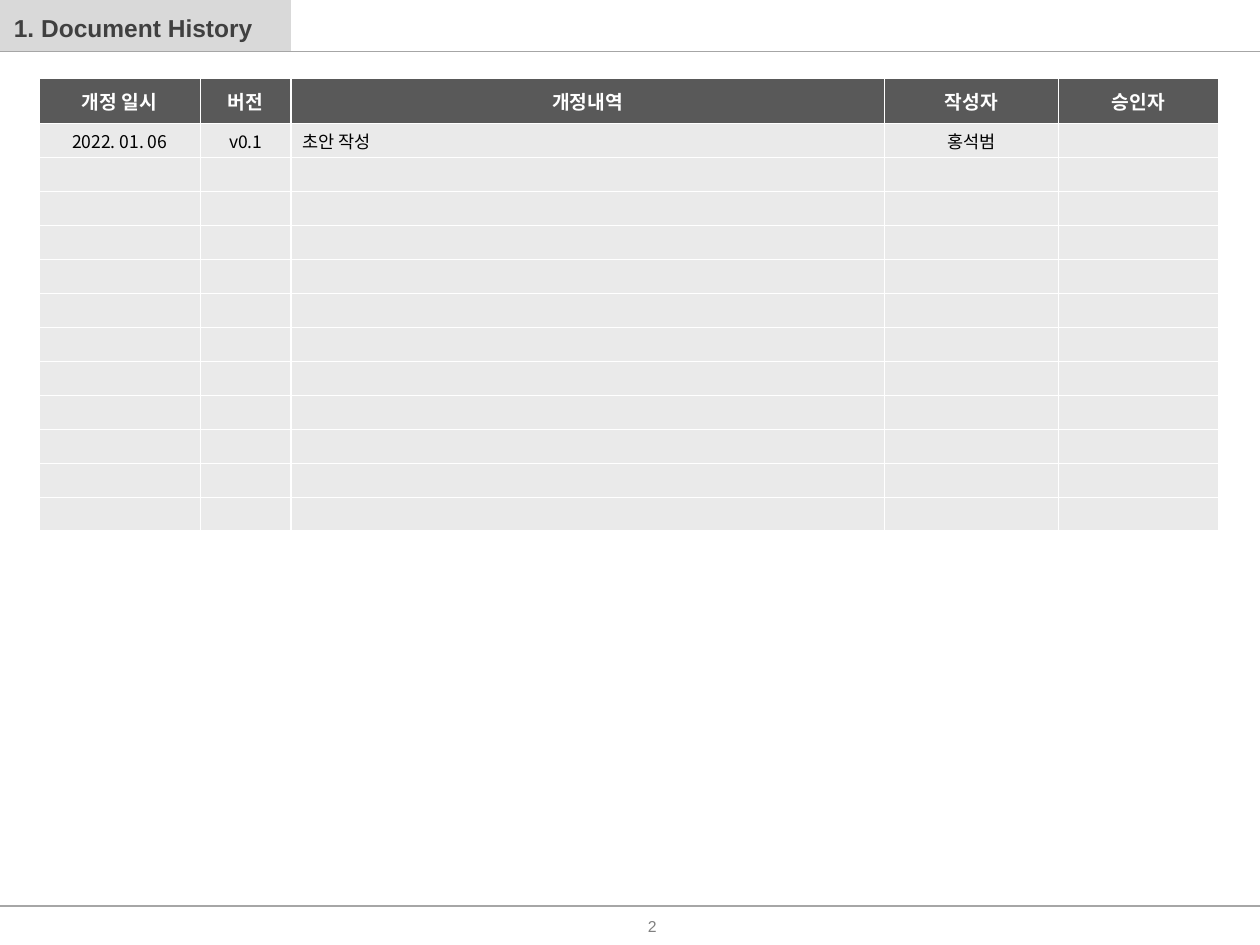
from lxml.etree import SubElement
from pptx import Presentation
from pptx.dml.color import RGBColor
from pptx.enum.shapes import MSO_CONNECTOR as Connector, MSO_SHAPE as Shape
from pptx.enum.text import MSO_ANCHOR as Anchor, PP_ALIGN as Align
from pptx.oxml.ns import qn
from pptx.util import Inches, Pt

COLORS = {
    "bar": "D9D9D9", "rule": "A6A6A6", "title": "404040", "number": "808080",
    "header": "595959", "body": "EAEAEA", "white": "FFFFFF", "black": "000000",
}
LATIN, KOREAN = "Arial", "Noto Sans CJK KR"
COLUMN_WIDTHS = [1.28, 0.72, 4.71, 1.38, 1.27]
HEADINGS = ["개정 일시", "버전", "개정내역", "작성자", "승인자"]
FIRST_REVISION = ["2022. 01. 06", "v0.1", "초안 작성", "홍석범", ""]
REVISION_ROWS = 12
HEADER_HEIGHT, ROW_HEIGHT = 0.36, 0.27
DESCRIPTION_COLUMN = 2


def color(name):
    """Return the named colour."""
    return RGBColor.from_string(COLORS[name])


def write(paragraph, text, size, font_name, color_name, bold=False, align=Align.LEFT):
    """Add one formatted run to a paragraph."""
    paragraph.alignment = align
    run = paragraph.add_run()
    run.text = text
    font = run.font
    font.size, font.name, font.bold = Pt(size), font_name, bold
    font.color.rgb = color(color_name)
    SubElement(font._element, qn("a:ea"), typeface=KOREAN)


def plain_frame(shape):
    """Return a text frame without insets, centred vertically."""
    frame = shape.text_frame
    frame.margin_left = frame.margin_right = 0
    frame.margin_top = frame.margin_bottom = 0
    frame.vertical_anchor = Anchor.MIDDLE
    frame.word_wrap = True
    return frame


def add_bar(slide):
    """Draw the block behind the title."""
    bar = slide.shapes.add_shape(Shape.RECTANGLE, 0, 0, Inches(2.31), Inches(0.41))
    bar.shadow.inherit = False
    bar.fill.solid()
    bar.fill.fore_color.rgb = color("bar")
    bar.line.fill.background()


def add_rule(slide, top):
    """Draw a thin line across the slide."""
    rule = slide.shapes.add_connector(
        Connector.STRAIGHT, 0, Inches(top), Inches(10), Inches(top))
    rule.line.color.rgb = color("rule")
    rule.line.width = Pt(0.75)
    SubElement(rule._element.spPr, qn("a:effectLst"))


def add_page_number(slide):
    """Write the page number in the footer."""
    number = slide.shapes.add_textbox(
        Inches(4.47), Inches(7.21), Inches(1.38), Inches(0.28))
    write(plain_frame(number).paragraphs[0], " 2", 9, LATIN, "number", align=Align.CENTER)


def set_title(slide):
    """Place the title in front of its block."""
    title = slide.shapes.title
    title.left, title.top = Inches(0.11), Inches(0.1)
    title.width, title.height = Inches(2.96), Inches(0.24)
    write(plain_frame(title).paragraphs[0], "1. Document History", 14, LATIN, "title", True)
    slide.shapes._spTree.append(title._element)


def style_cell(cell, fill_name):
    """Give a cell its white borders, fill and insets."""
    properties = cell._tc.get_or_add_tcPr()
    for side in ("a:lnL", "a:lnR", "a:lnT", "a:lnB"):
        border = SubElement(properties, qn(side), w=str(Pt(1)))
        fill = SubElement(border, qn("a:solidFill"))
        SubElement(fill, qn("a:srgbClr"), val=COLORS["white"])
    cell.fill.solid()
    cell.fill.fore_color.rgb = color(fill_name)
    cell.vertical_anchor = Anchor.MIDDLE
    cell.margin_left = cell.margin_right = Inches(0.09)
    cell.margin_top = cell.margin_bottom = Inches(0.03)


def fill_cell(cell, text, is_header, align):
    """Style a cell and write its text, keeping empty cells low."""
    style_cell(cell, "header" if is_header else "body")
    paragraph = cell.text_frame.paragraphs[0]
    if not text:
        SubElement(paragraph._p, qn("a:endParaRPr"), sz="1000")
    elif is_header:
        write(paragraph, text, 11, LATIN, "white", True, align)
    else:
        write(paragraph, text, 10, KOREAN, "black", False, align)


def add_history(slide):
    """Build the revision table."""
    blank = [""] * len(HEADINGS)
    rows = [HEADINGS, FIRST_REVISION] + [blank] * (REVISION_ROWS - 1)
    height = HEADER_HEIGHT + REVISION_ROWS * ROW_HEIGHT
    history = slide.shapes.add_table(
        len(rows), len(HEADINGS), Inches(0.31), Inches(0.62),
        Inches(sum(COLUMN_WIDTHS)), Inches(height)).table
    for column, width in zip(history.columns, COLUMN_WIDTHS):
        column.width = Inches(width)
    for r, texts in enumerate(rows):
        is_header = r == 0
        history.rows[r].height = Inches(HEADER_HEIGHT if is_header else ROW_HEIGHT)
        for c, text in enumerate(texts):
            is_description = c == DESCRIPTION_COLUMN and not is_header
            align = Align.LEFT if is_description else Align.CENTER
            fill_cell(history.cell(r, c), text, is_header, align)


def main():
    """Build the document history slide."""
    deck = Presentation()
    deck.slide_width, deck.slide_height = Inches(10), Inches(7.5)
    slide = deck.slides.add_slide(deck.slide_layouts[5])
    add_bar(slide)
    for top in (0.41, 7.19):
        add_rule(slide, top)
    add_page_number(slide)
    set_title(slide)
    add_history(slide)
    deck.save("out.pptx")


main()
